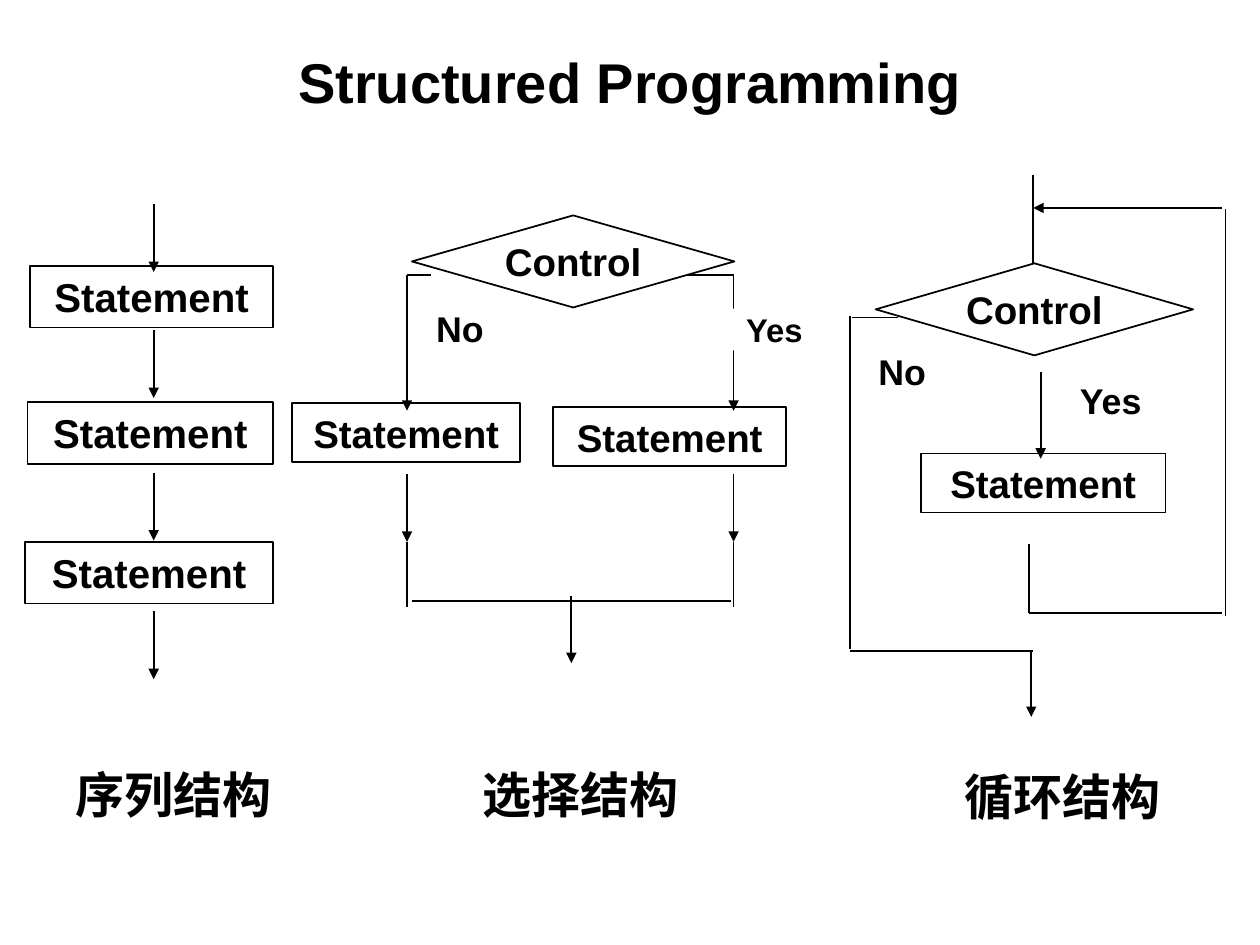
from dataclasses import dataclass

from lxml import etree
from pptx import Presentation
from pptx import util as u
from pptx.dml import color
from pptx.enum import shapes, text
from pptx.oxml import ns


@dataclass(frozen=True)
class Theme:
    """Colours, fonts and sizes of the slide."""
    ink: color.RGBColor = color.RGBColor(0, 0, 0)
    paper: color.RGBColor = color.RGBColor(255, 255, 255)
    latin: str = "Arial"
    chinese: str = "Noto Sans CJK SC"
    title: float = 32
    caption: float = 28
    step: float = 23
    node: float = 22
    label: float = 20.4
    small_label: float = 18.7
    stroke: float = 1
    inset_x: float = 7.2
    inset_y: float = 3.6


class FlowSlide:
    """Draws flowchart parts on one slide; all lengths are points."""

    def __init__(self, page, theme):
        """Keep the slide and its style."""
        self.page = page
        self.theme = theme

    def set_text(self, box, words, size, font=None, inset=(0, 0)):
        """Put one centred bold line of text in a shape."""
        font = font or self.theme.latin
        frame = box.text_frame
        across, down = map(u.Pt, inset)
        frame_format = {
            "word_wrap": True, "vertical_anchor": text.MSO_ANCHOR.MIDDLE,
            "margin_left": across, "margin_right": across,
            "margin_top": down, "margin_bottom": down,
        }
        for name, value in frame_format.items():
            setattr(frame, name, value)
        para = frame.paragraphs[0]
        para.alignment = text.PP_ALIGN.CENTER
        span = para.add_run()
        span.text = words
        for name, value in {"name": font, "size": u.Pt(size), "bold": True}.items():
            setattr(span.font, name, value)
        span.font.color.rgb = self.theme.ink
        east_asian = etree.SubElement(span.font._element, ns.qn("a:ea"))
        east_asian.set("typeface", font)

    def title(self, words, left, top, width, height):
        """Place and fill the title placeholder."""
        box = self.page.shapes.title
        place = {"left": left, "top": top, "width": width, "height": height}
        for name, value in place.items():
            setattr(box, name, u.Pt(value))
        inset = (self.theme.inset_x, self.theme.inset_y)
        self.set_text(box, words, self.theme.title, inset=inset)

    def shape(self, kind, place, words, size, outlined=True, **style):
        """Add a white shape with text and an optional outline."""
        box = self.page.shapes.add_shape(kind, *map(u.Pt, place))
        box.shadow.inherit = False
        box.fill.solid()
        box.fill.fore_color.rgb = self.theme.paper
        if outlined:
            box.line.color.rgb = self.theme.ink
            box.line.width = u.Pt(self.theme.stroke)
        else:
            box.line.fill.background()
        self.set_text(box, words, size, **style)

    def statement(self, left, top, width, height, size):
        """Add a statement box."""
        inset = (self.theme.inset_x, self.theme.inset_y)
        self.shape(shapes.MSO_SHAPE.RECTANGLE, (left, top, width, height),
                   "Statement", size, inset=inset)

    def control(self, left, top, width, height):
        """Add a decision diamond."""
        self.shape(shapes.MSO_SHAPE.DIAMOND, (left, top, width, height),
                   "Control", self.theme.node)

    def label(self, words, place, size, font=None):
        """Add borderless text on white."""
        self.shape(shapes.MSO_SHAPE.RECTANGLE, place, words, size,
                   outlined=False, font=font)

    def line(self, *ends, arrow=False):
        """Add a straight line, with an arrowhead at its end if asked."""
        link = self.page.shapes.add_connector(
            shapes.MSO_CONNECTOR.STRAIGHT, *map(u.Pt, ends))
        link.line.color.rgb = self.theme.ink
        link.line.width = u.Pt(self.theme.stroke)
        properties = link._element.spPr
        if arrow:
            outline = properties.find(ns.qn("a:ln"))
            head = etree.SubElement(outline, ns.qn("a:tailEnd"))
            head.set("type", "triangle")
        etree.SubElement(properties, ns.qn("a:effectLst"))

    def arrow(self, *ends):
        """Add a line with an arrowhead."""
        self.line(*ends, arrow=True)


def draw_sequence(flow):
    """Draw three statements in a row."""
    right, axis, length = 156.2, 87.84, 38.9
    for left, top in ((17.3, 151.9), (15.8, 229.7), (14.4, 309.6)):
        flow.statement(left, top, right - left, 35.3, flow.theme.step)
    for top in (116.6, 188.6, 270, 349.2):
        flow.arrow(axis, top, axis, top + length)


def draw_selection(flow):
    """Draw the two-way branch."""
    theme = flow.theme
    for left, top, width in ((167, 230.4, 130.3), (316.1, 232.6, 133.2)):
        flow.statement(left, top, width, 33.8, theme.node)
    for axis, inner in ((232.6, 246.2), (419.2, 391.7)):
        flow.line(inner, 157, axis, 157)
        flow.arrow(axis, 157, axis, 234.7)
        flow.arrow(axis, 270.7, axis, 309.6)
        flow.line(axis, 309.6, axis, 346.7)
    flow.line(235.4, 343.6, 417.6, 343.6)
    flow.arrow(326.5, 340.4, 326.5, 378.9)
    flow.label("No", (240.5, 175, 44.6, 25.2), theme.label)
    flow.label("Yes", (417.6, 176.4, 49.7, 23.8), theme.small_label)
    flow.control(235.4, 123.1, 184.3, 52.6)


def draw_loop(flow):
    """Draw the loop with its return path and exit."""
    theme = flow.theme
    entry, back, leave, bottom = 590.4, 700.3, 485.8, 350.3
    flow.statement(526.3, 259.2, 139.7, 33.8, theme.node)
    flow.arrow(594.7, 212.4, 594.7, 262.1)
    flow.line(588.2, 311, 588.2, bottom)
    flow.label("Yes", (602.6, 216, 64.1, 25.2), theme.label)
    flow.line(588.2, bottom, 698.4, bottom)
    flow.arrow(entry, 100.1, entry, 157.7)
    flow.line(back, 119.5, back, 352)
    flow.arrow(698.4, 118.8, entry, 118.8)
    flow.line(486.7, 181.4, 513.4, 181.4)
    flow.label("No", (494.6, 199.4, 41.8, 25.2), theme.label)
    flow.line(leave, 180.7, leave, 370.8)
    flow.line(leave, 372.2, entry, 372.2)
    flow.arrow(589.3, 371.5, 589.3, 409.7)
    flow.control(500.4, 150.5, 181.4, 52.6)


def main():
    """Build the slide and save the deck."""
    deck = Presentation()
    deck.slide_width, deck.slide_height = u.Pt(720), u.Pt(540)
    theme = Theme()
    flow = FlowSlide(deck.slides.add_slide(deck.slide_layouts[5]), theme)
    flow.title("Structured Programming", 36, 21.6, 648, 49.7)
    draw_sequence(flow)
    captions = (("序列结构", 25.2, 437, 147.6), ("选择结构", 263.5, 437, 136),
                ("循环结构", 526.3, 437.8, 162))
    for words, left, top, width in captions:
        flow.label(words, (left, top, width, 33.8), theme.caption, theme.chinese)
    draw_selection(flow)
    draw_loop(flow)
    deck.save("out.pptx")


main()
